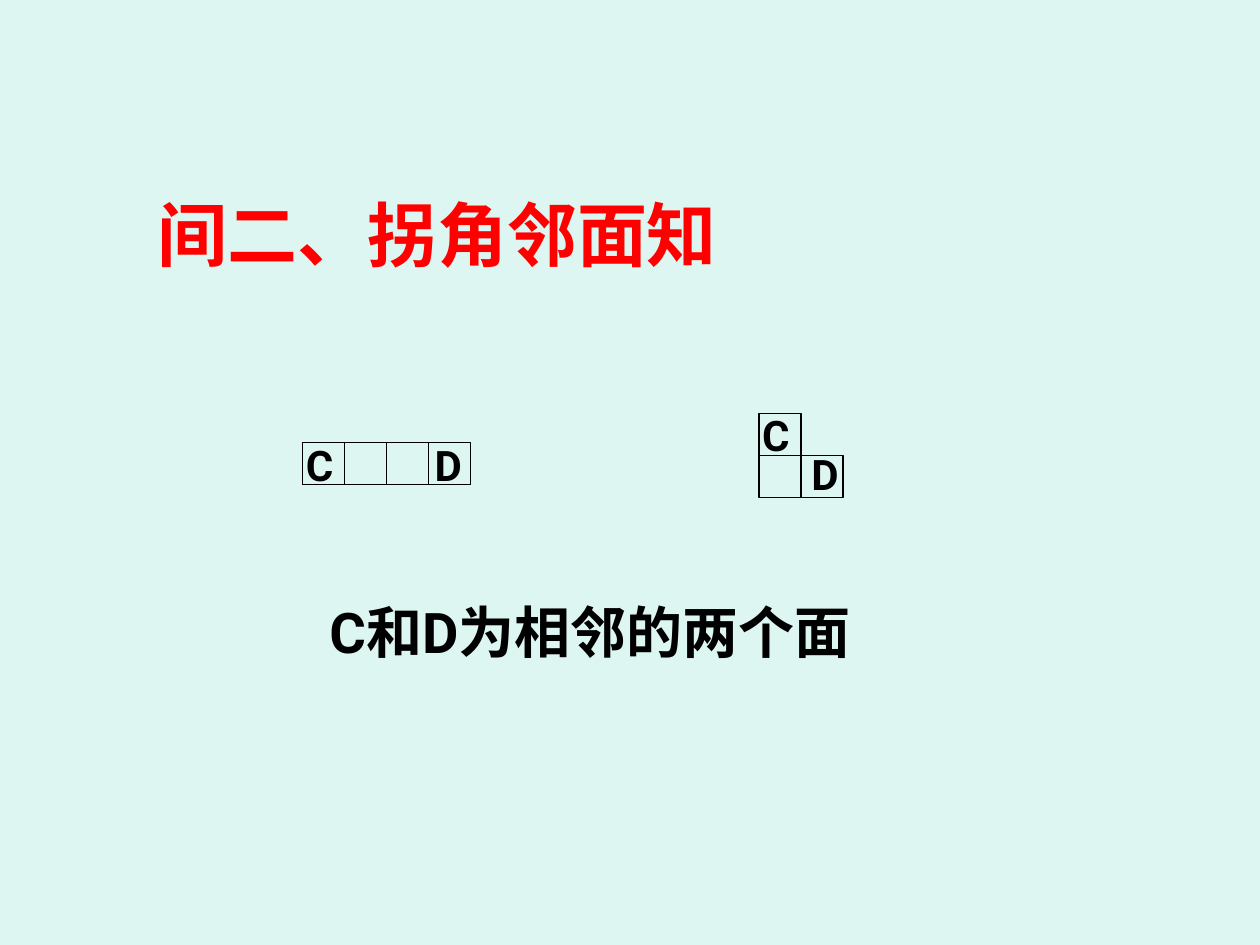
from dataclasses import dataclass

from pptx import Presentation
from pptx import util as u
from pptx.dml.color import RGBColor
from pptx.enum import shapes, text


@dataclass(frozen=True)
class Theme:
    font: str = "Roboto"
    paper: RGBColor = RGBColor(0xDE, 0xF6, 0xF1)
    ink: RGBColor = RGBColor(0, 0, 0)
    accent: RGBColor = RGBColor(0xFF, 0, 0)
    title_size: int = 40
    sentence_size: int = 32
    letter_size: int = 24
    outline: float = 0.75


class SlideBuilder:
    """Places elements on a grid of 30 columns; one cube face fills one cell."""

    COLUMNS = 30

    def __init__(self, deck, theme):
        self.theme = theme
        self.cell = deck.slide_width / self.COLUMNS
        self.slide = deck.slides.add_slide(deck.slide_layouts[5])
        background = self.slide.background.fill
        background.solid()
        background.fore_color.rgb = theme.paper

    def box(self, *cells):
        return [u.Emu(round(n * self.cell)) for n in cells]

    def set_text(self, shape, wording, size, color, align):
        frame = shape.text_frame
        frame.text = wording
        frame.word_wrap = False
        frame.auto_size = text.MSO_AUTO_SIZE.NONE
        frame.vertical_anchor = text.MSO_ANCHOR.TOP
        paragraph = frame.paragraphs[0]
        paragraph.alignment = align
        paragraph.space_before = u.Pt(0)
        font = paragraph.runs[0].font
        font.name, font.size, font.bold = self.theme.font, u.Pt(size), True
        font.color.rgb = color

    def title(self, wording, left, top, width, height):
        heading = self.slide.shapes.title
        heading.left, heading.top, heading.width, heading.height = self.box(
            left, top, width, height)
        self.set_text(heading, wording, self.theme.title_size,
                      self.theme.accent, text.PP_ALIGN.CENTER)

    def label(self, wording, left, top, width, height, size,
              align=text.PP_ALIGN.LEFT):
        label = self.slide.shapes.add_textbox(*self.box(left, top, width, height))
        self.set_text(label, wording, size, self.theme.ink, align)

    def net(self, left, top, faces):
        """Groups the square faces, each given as (column, row) from the corner."""
        net = self.slide.shapes.add_group_shape()
        for column, row in faces:
            face = net.shapes.add_shape(
                shapes.MSO_SHAPE.RECTANGLE,
                *self.box(left + column, top + row, 1, 1))
            face.shadow.inherit = False
            face.fill.solid()
            face.fill.fore_color.rgb = self.theme.paper
            face.line.color.rgb = self.theme.ink
            face.line.width = u.Pt(self.theme.outline)


def main():
    deck = Presentation()
    deck.slide_width, deck.slide_height = u.Inches(10), u.Inches(7.5)
    theme = Theme()
    page = SlideBuilder(deck, theme)

    page.title("间二、拐角邻面知", 3.45, 4.41, 13.92, 2.31)
    page.net(7.2, 10.53, [(column, 0) for column in range(4)])
    page.net(18.07, 9.84, [(0, 0), (0, 1), (1, 1)])

    letters = [("C", 6.99, 10.32), ("C", 17.85, 9.6),
               ("D", 10.05, 10.32), ("D", 19.02, 10.53)]
    for letter, left, top in letters:
        page.label(letter, left, top, 1.3, 1.5, theme.letter_size)

    page.label("C和D为相邻的两个面", 7.02, 14.07, 14.07, 1.92,
               theme.sentence_size, text.PP_ALIGN.CENTER)
    deck.save("out.pptx")


if __name__ == "__main__":
    main()
